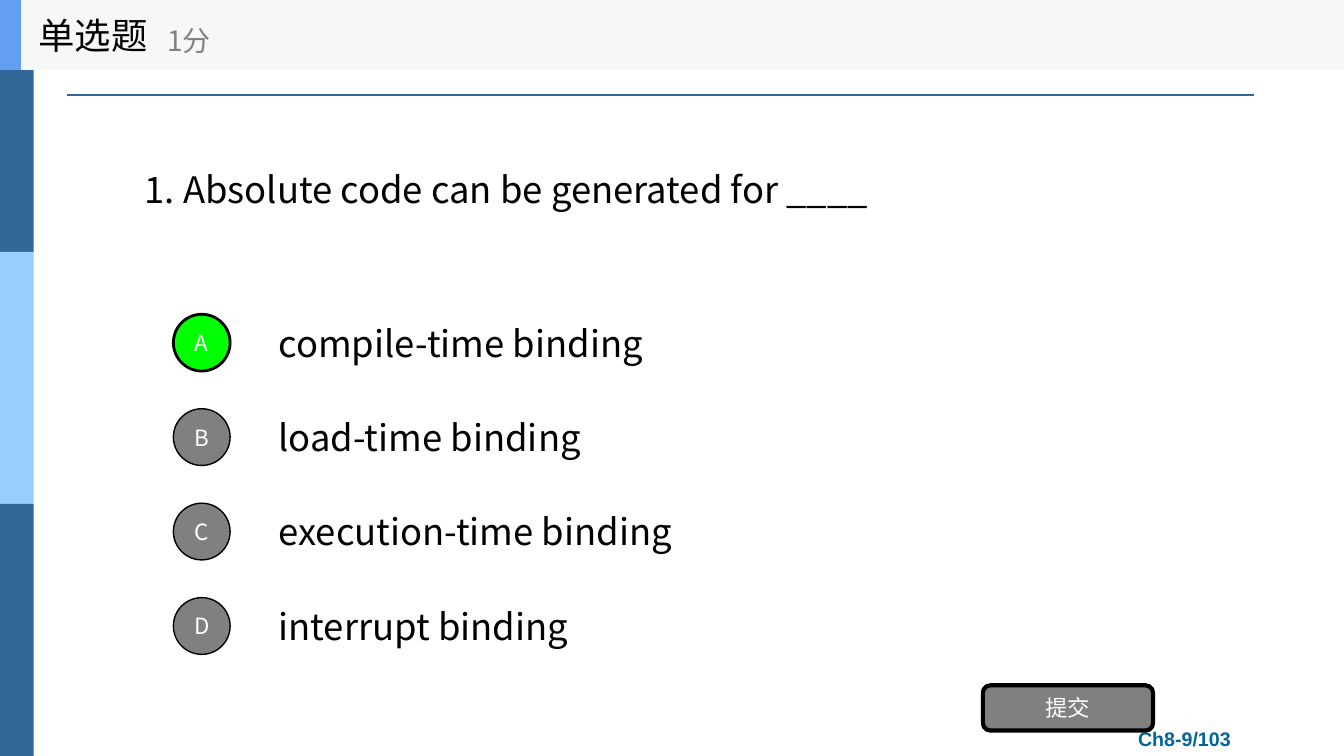
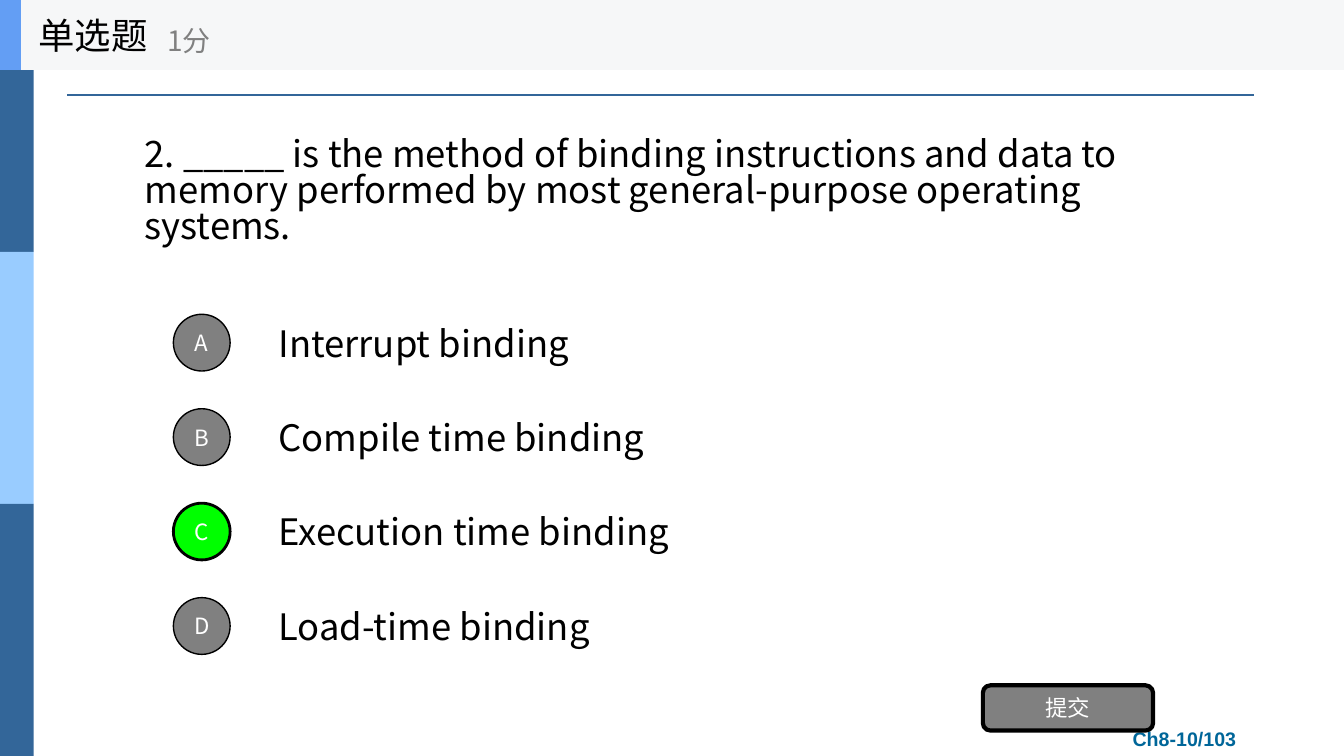
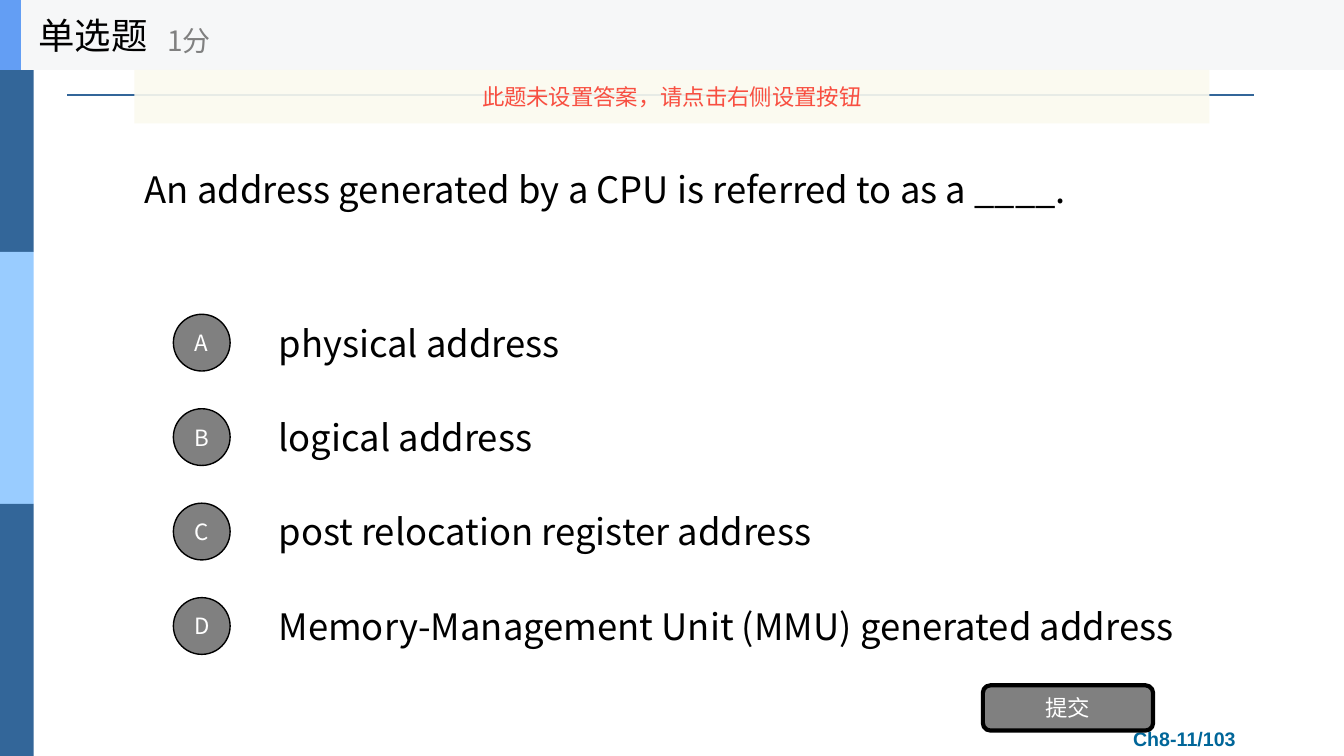
from dataclasses import dataclass

from lxml import etree
from pptx import Presentation
from pptx.dml.color import RGBColor
from pptx.enum import shapes, text
from pptx.oxml import ns
from pptx.util import Cm, Pt


@dataclass(frozen=True)
class Theme:
    navy: str = "336699"
    sky: str = "99CCFF"
    band: str = "F6F7F8"
    accent: str = "639EF4"
    gray: str = "808080"
    green: str = "00FF00"
    black: str = "000000"
    white: str = "FFFFFF"
    teal: str = "006699"
    cream: str = "FBFAEF"
    red: str = "F84F41"
    sans: str = "Noto Sans CJK SC"
    latin: str = "Arial"
    large: int = 26
    medium: int = 20
    small: int = 16
    foot: int = 14


look = Theme()
kind = shapes.MSO_SHAPE
left, center = text.PP_ALIGN.LEFT, text.PP_ALIGN.CENTER


def draw(page, form, area, fill, edge=0):
    shape = page.shapes.add_shape(form, *map(Cm, area))
    shape.shadow.inherit = False
    shape.fill.solid()
    shape.fill.fore_color.rgb = RGBColor.from_string(fill)
    if edge:
        shape.line.color.rgb = RGBColor.from_string(look.black)
        shape.line.width = Pt(edge)
    else:
        shape.line.fill.background()
    return shape


def write(shape, words, size, color, align=left, face=look.sans, bold=False):
    frame = shape.text_frame
    frame.text = words
    fit = {"word_wrap": True, "auto_size": text.MSO_AUTO_SIZE.NONE,
           "vertical_anchor": text.MSO_ANCHOR.MIDDLE}
    for key, value in fit.items():
        setattr(frame, key, value)
    para = frame.paragraphs[0]
    para.alignment = align
    run = para.runs[0]
    for key, value in {"size": Pt(size), "name": face, "bold": bold}.items():
        setattr(run.font, key, value)
    run.font.color.rgb = RGBColor.from_string(color)
    east = etree.SubElement(run._r.get_or_add_rPr(), ns.qn("a:ea"))
    east.set("typeface", face)
    return para


quiz = [
    ("1. Absolute code can be generated for ____", "A", "",
     ["compile-time binding", "load-time binding",
      "execution-time binding", "interrupt binding"]),
    ("2. _____ is the method of binding instructions and data to memory "
     "performed by most general-purpose operating systems.", "C", "",
     ["Interrupt binding", "Compile time binding",
      "Execution time binding", "Load-time binding"]),
    ("An address generated by a CPU is referred to as a ____.", "",
     "此题未设置答案，请点击右侧设置按钮",
     ["physical address", "logical address",
      "post relocation register address",
      "Memory-Management Unit (MMU) generated address"]),
]

deck = Presentation()
deck.slide_width, deck.slide_height = Cm(33.87), Cm(19.05)
base = deck.slide_layouts[1]
places = [(0.71, 0, 5.28, 1.75), (3.39, 1.88, 27.09, 5.94)]
for holder, area in zip(base.placeholders, places):
    for key, value in zip(("left", "top", "width", "height"), area):
        setattr(holder, key, Cm(value))

pages = [deck.slides.add_slide(base) for _ in quiz]

strips = [(0, 0, 0.85, 6.35, look.navy), (0, 6.35, 0.85, 6.35, look.sky),
          (0, 12.7, 0.85, 6.35, look.navy), (0, 0, 33.87, 1.76, look.band),
          (0, 0, 0.53, 1.76, look.accent)]
parts = [draw(pages[0], kind.RECTANGLE, area, fill) for *area, fill in strips]
rule = pages[0].shapes.add_connector(
    shapes.MSO_CONNECTOR.STRAIGHT, Cm(1.69), Cm(2.39), Cm(31.6), Cm(2.39))
rule.line.color.rgb = RGBColor.from_string(look.navy)
rule.line.width = Pt(1.5)
etree.SubElement(rule.element.spPr, ns.qn("a:effectLst"))
for part in parts + [rule]:
    base.shapes.element.append(part.element)

for number, (page, item) in enumerate(zip(pages, quiz), 9):
    ask, answer, notice, options = item
    write(page.shapes.title, "单选题", look.large, look.black)

    para = write(page.placeholders[1], ask, look.large, look.black)
    props = para._p.get_or_add_pPr()
    for key in ("marL", "indent"):
        props.set(key, "0")
    etree.SubElement(props, ns.qn("a:buNone"))
    para.space_before = Pt(0)
    para.line_spacing = 0.82

    score = page.shapes.add_textbox(Cm(3.96), Cm(0.3), Cm(6.35), Cm(1.42))
    write(score, "1分", look.medium, look.gray)
    foot = page.shapes.add_textbox(Cm(28.25), Cm(18.19), Cm(3.2), Cm(0.86))
    write(foot, f"Ch8-{number}/103", look.foot, look.teal, center,
          look.latin, True)

    for row, (letter, option) in enumerate(zip("ABCD", options)):
        step = row * 2.38
        label = page.shapes.add_textbox(
            Cm(6.77), Cm(7.74 + step), Cm(23.7), Cm(1.78))
        write(label, option, look.large, look.black)
        right = letter == answer
        badge = draw(page, kind.OVAL, (4.37, 7.92 + step, 1.43, 1.43),
                     look.green if right else look.gray, 2 if right else 1)
        write(badge, letter, look.small, look.white, center)

    button = draw(page, kind.ROUNDED_RECTANGLE, (24.77, 17.27, 4.29, 1.14),
                  look.gray, 3)
    write(button, "提交", look.small, look.white, center)

    if notice:
        alert = draw(page, kind.RECTANGLE, (3.39, 1.76, 27.09, 1.35),
                     look.cream)
        tint = alert.fill._xPr.find(f".//{ns.qn('a:srgbClr')}")
        etree.SubElement(tint, ns.qn("a:alpha")).set("val", "90000")
        write(alert, notice, look.small, look.red, center)

deck.save("out.pptx")
